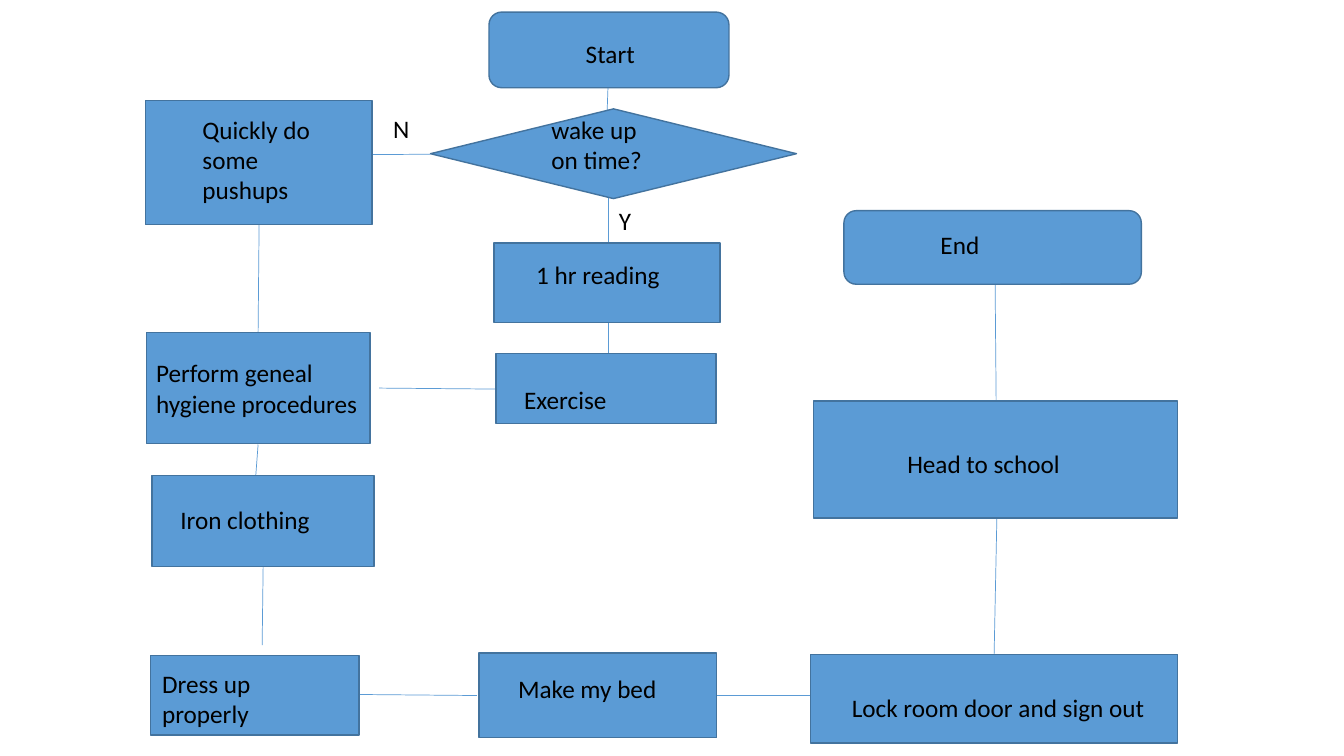
from lxml import etree
from pptx import Presentation
from pptx.dml.color import RGBColor
from pptx.enum.shapes import MSO_CONNECTOR, MSO_SHAPE
from pptx.enum.text import MSO_AUTO_SIZE
from pptx.oxml.ns import qn
from pptx.util import Inches, Pt


def color(value):
    return RGBColor.from_string(value)


class Flowchart:
    FILL, BORDER, TEXT = "5B9BD5", "43739E", "000000"
    FONT, SIZE = "Calibri", 18

    def __init__(self, slide):
        self.shapes = slide.shapes

    def line(self, x1, y1, x2, y2):
        link = self.shapes.add_connector(
            MSO_CONNECTOR.STRAIGHT, *map(Inches, (x1, y1, x2, y2)))
        link.line.color.rgb = color(self.FILL)
        link.line.width = Pt(0.5)
        etree.SubElement(link._element.spPr, qn("a:effectLst"))

    def node(self, kind, *box):
        shape = self.shapes.add_shape(kind, *map(Inches, box))
        shape.shadow.inherit = False
        shape.fill.solid()
        shape.fill.fore_color.rgb = color(self.FILL)
        shape.line.color.rgb = color(self.BORDER)
        shape.line.width = Pt(1)

    def label(self, text, left, top, width, height=0.4, inset=0.1):
        box = self.shapes.add_textbox(*map(Inches, (left, top, width, height)))
        frame = box.text_frame
        frame.word_wrap = True
        frame.auto_size = MSO_AUTO_SIZE.SHAPE_TO_FIT_TEXT
        frame.margin_left = Inches(inset)
        run = frame.paragraphs[0].add_run()
        run.text = text
        run.font.name = self.FONT
        run.font.size = Pt(self.SIZE)
        run.font.color.rgb = color(self.TEXT)


prs = Presentation()
prs.slide_width, prs.slide_height = Inches(13.33), Inches(7.5)
chart = Flowchart(prs.slides.add_slide(prs.slide_layouts[6]))

# Links between the steps, kept behind the nodes
LINKS = [
    (6.03, 0.87, 6.01, 1.44),  # start to decision
    (4.27, 1.53, 2.76, 1.54),  # decision to pushups
    (6.03, 1.88, 6.03, 2.52),  # decision to reading
    (6.03, 2.93, 6.03, 3.63),  # reading to exercise
    (3.76, 3.85, 4.92, 3.86),  # exercise to hygiene
    (2.57, 2.23, 2.56, 3.3),   # pushups to hygiene
    (2.56, 4.41, 2.53, 4.81),  # hygiene to ironing
    (2.61, 5.62, 2.6, 6.4),    # ironing to dressing
    (3.56, 6.89, 4.73, 6.9),   # dressing to bed
    (7.11, 6.9, 8.04, 6.9),    # bed to door
    (9.86, 6.49, 9.89, 5),     # door to school
    (9.88, 3.98, 9.87, 2.8),   # school to end
]
for link in LINKS:
    chart.line(*link)

# Steps: shape, its box, text, and the place of the text
STEP, TERMINAL, DECISION = (
    MSO_SHAPE.RECTANGLE, MSO_SHAPE.ROUNDED_RECTANGLE, MSO_SHAPE.DIAMOND)
NODES = [
    (TERMINAL, (4.85, 0.12, 2.38, 0.75), "Start", (4.98, 0.33, 2.03, 0.4, 0.83)),
    (DECISION, (4.27, 1.08, 3.63, 0.89), "wake up on time?", (5.37, 1.08, 1.32, 0.71)),
    (STEP, (1.44, 1, 2.25, 1.23), "Quickly do some pushups", (1.91, 1.08, 1.42, 1.01)),
    (STEP, (4.9, 2.41, 2.24, 0.79), "1 hr reading", (5.22, 2.52, 1.64)),
    (STEP, (4.92, 3.51, 2.18, 0.69), "Exercise", (5.1, 3.76, 1.78)),
    (STEP, (1.45, 3.3, 2.22, 1.1), "Perform geneal hygiene procedures",
     (1.45, 3.5, 2.32, 0.71)),
    (STEP, (1.51, 4.72, 2.2, 0.9), "Iron clothing", (1.69, 4.95, 1.84)),
    (STEP, (1.49, 6.5, 2.07, 0.79), "Dress up properly", (1.51, 6.58, 1.74, 0.71)),
    (STEP, (4.75, 6.48, 2.36, 0.84), "Make my bed", (5.04, 6.63, 1.86)),
    (STEP, (8.04, 6.49, 3.64, 0.88), "Lock room door and sign out", (8.35, 6.82, 3.39)),
    (STEP, (8.07, 3.98, 3.61, 1.16), "Head to school", (8.9, 4.4, 2.15)),
    (TERMINAL, (8.37, 2.09, 2.95, 0.73), "End", (9.23, 2.23, 1.3)),
]
for kind, box, text, place in NODES:
    chart.node(kind, *box)
    chart.label(text, *place)

# Answers on the decision branches
chart.label("N", 3.8, 1.08, 0.36)
chart.label("Y", 6.04, 1.99, 0.44)

prs.save("out.pptx")
